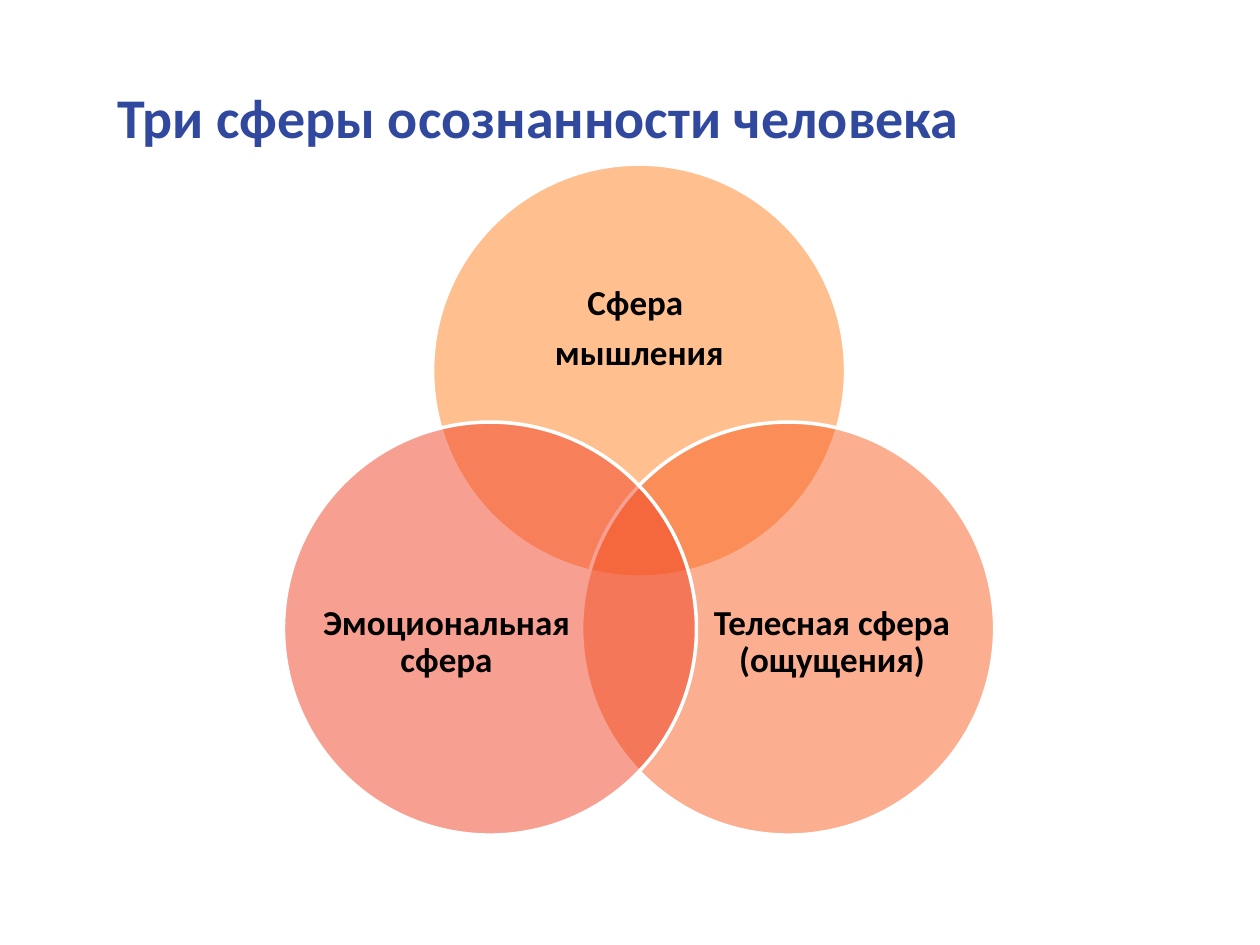
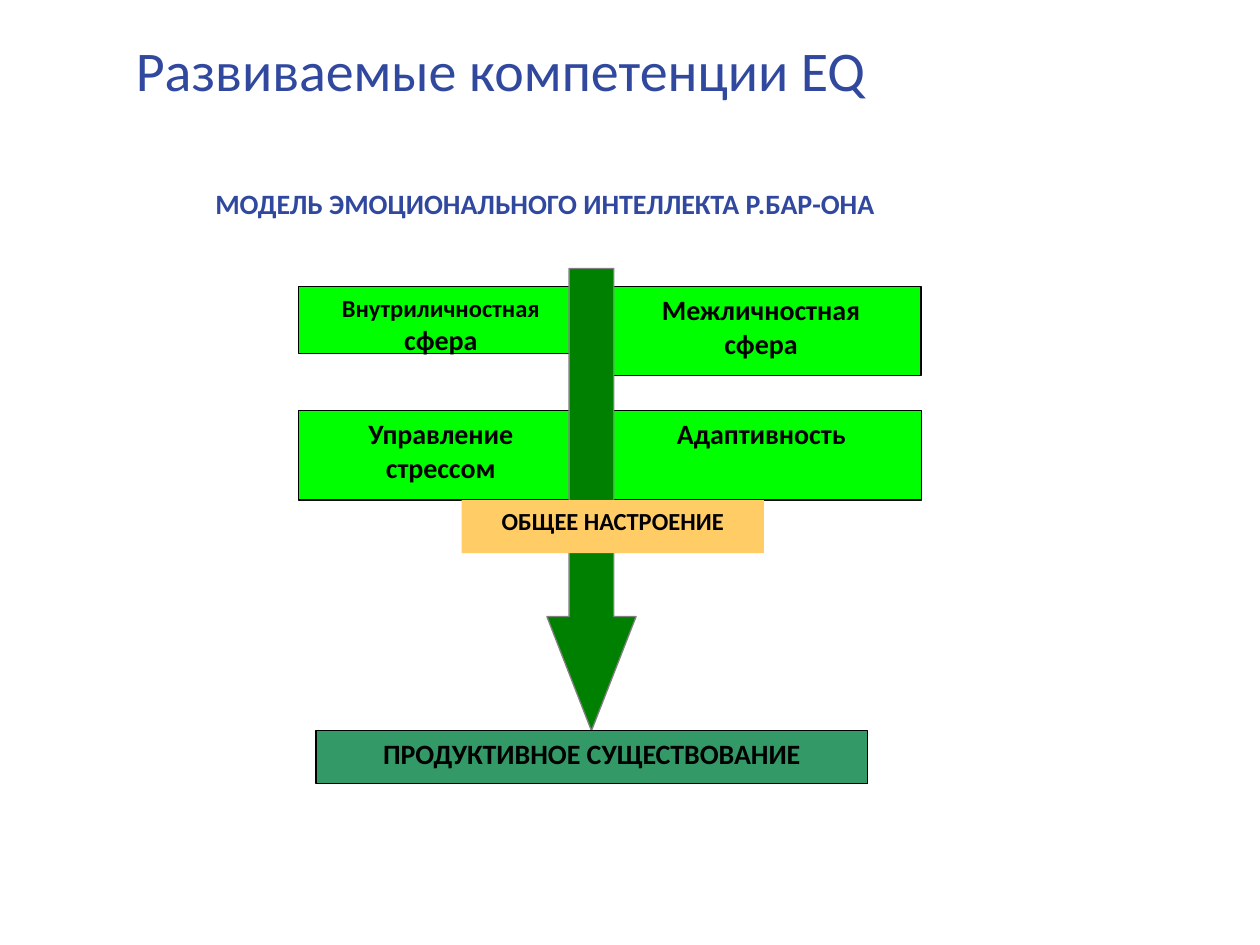
from pptx import Presentation
from pptx.dml.color import RGBColor
from pptx.enum.shapes import MSO_SHAPE
from pptx.enum.text import MSO_ANCHOR, PP_ALIGN
from pptx.oxml.ns import qn
from pptx.util import Pt
from lxml import etree

OVAL, RECT, DOWN_ARROW = MSO_SHAPE.OVAL, MSO_SHAPE.RECTANGLE, MSO_SHAPE.DOWN_ARROW
LEFT, CENTER = PP_ALIGN.LEFT, PP_ALIGN.CENTER
TOP, MIDDLE = MSO_ANCHOR.TOP, MSO_ANCHOR.MIDDLE
FONT, BLUE, BLACK, WHITE = "Calibri", "31489F", "000000", "FFFFFF"
LIME, GREEN, GREY, SAND, TEAL = "00FF00", "008000", "808080", "FFCC66", "339966"


def add_shape(s, kind, box, fill, line=None, width=0.75):
    sp = s.shapes.add_shape(kind, *[Pt(v) for v in box])
    sp.shadow.inherit = False
    sp.fill.solid()
    sp.fill.fore_color.rgb = RGBColor.from_string(fill)
    if line:
        sp.line.color.rgb = RGBColor.from_string(line)
        sp.line.width = Pt(width)
    else:
        sp.line.fill.background()
    return sp


def write(sp, lines, sizes, color=BLACK, bold=True, align=CENTER, anchor=TOP):
    tf = sp.text_frame
    tf.word_wrap = True
    tf.vertical_anchor = anchor
    tf.text = "\n".join(lines)
    for p, size in zip(tf.paragraphs, sizes):
        p.alignment = align
        p.font.name, p.font.size, p.font.bold = FONT, Pt(size), bold
        p.font.color.rgb = RGBColor.from_string(color)
    return tf


prs = Presentation()
prs.slide_width, prs.slide_height = Pt(720), Pt(540)

# Slides with their titles
slides = []
for title, box, bold in [
    ("Три сферы осознанности человека", (60, 21.6, 624, 90), True),
    ("Развиваемые компетенции EQ", (70.56, 9.36, 532.8, 60.5), False),
]:
    s = prs.slides.add_slide(prs.slide_layouts[6])
    sp = s.shapes.add_textbox(*[Pt(v) for v in box])
    write(sp, [title], [32], BLUE, bold, LEFT, MIDDLE)
    slides.append(s)

# Slide 1: Venn diagram of three translucent circles
s = slides[0]
DIAMETER, CENTER_X, TOP_Y, DX, DY = 236, 365.2, 93.8, 85.2, 147.4
for dx, dy, color, lines, label_box in [
    (0, 0, "FF8021", ["Сфера ", "мышления"], (278.6, 134.6, 173.5, 106.6)),
    (DX, DY, "F85F22", ["Телесная сфера (ощущения)"], (404.6, 302.4, 141.8, 129.6)),
    (-DX, DY, "F14124", ["Эмоциональная сфера"], (184.3, 302.4, 141.8, 129.6)),
]:
    box = (CENTER_X + dx - DIAMETER / 2, TOP_Y + dy, DIAMETER, DIAMETER)
    sp = add_shape(s, OVAL, box, color, WHITE, 2)
    clr = sp._element.spPr.find(qn("a:solidFill"))[0]
    etree.SubElement(clr, qn("a:alpha")).set("val", "50000")

    label = s.shapes.add_textbox(*[Pt(v) for v in label_box])
    tf = write(label, lines, [20] * len(lines), anchor=MIDDLE)
    tf.margin_left = tf.margin_right = tf.margin_top = tf.margin_bottom = 0
    for p in tf.paragraphs:
        p.line_spacing = 0.9
        p.space_after = Pt(7)

# Slide 2: four competence areas
s = slides[1]
COL_1, COL_2, ROW_1, ROW_2 = 170.6, 343.4, 163.7, 234.7
for x, y, w, h, lines, sizes in [
    (COL_1, ROW_1, 162.7, 38.2, ["Внутриличностная", "сфера"], [14, 16]),
    (COL_2, ROW_1, 183, 51, ["Межличностная", "сфера"], [16, 16]),
    (COL_1, ROW_2, 162.7, 51, ["Управление", "стрессом"], [16, 16]),
    (COL_2, ROW_2, 183.4, 51, ["Адаптивность"], [16]),
]:
    write(add_shape(s, RECT, (x, y, w, h), LIME, BLACK), lines, sizes)

# Arrow over the areas, leading to the result
arrow = add_shape(s, DOWN_ARROW, (312.5, 153.4, 51, 264.2), GREEN, GREY)
arrow.adjustments[0], arrow.adjustments[1] = 0.5, 1.28

# Mood, result and model name bars
for x, y, w, fill, line, text, size, color, align in [
    (263.8, 285.8, 172.8, SAND, None, "ОБЩЕЕ НАСТРОЕНИЕ", 14, BLACK, CENTER),
    (180.5, 417.6, 315.4, TEAL, BLACK, "ПРОДУКТИВНОЕ СУЩЕСТВОВАНИЕ", 16, BLACK, CENTER),
    (116, 103, 487.4, WHITE, None, "МОДЕЛЬ ЭМОЦИОНАЛЬНОГО ИНТЕЛЛЕКТА Р.БАР-ОНА", 16, BLUE, LEFT),
]:
    sp = add_shape(s, RECT, (x, y, w, 30.3), fill, line)
    write(sp, [text], [size], color, align=align)

prs.save("out.pptx")
